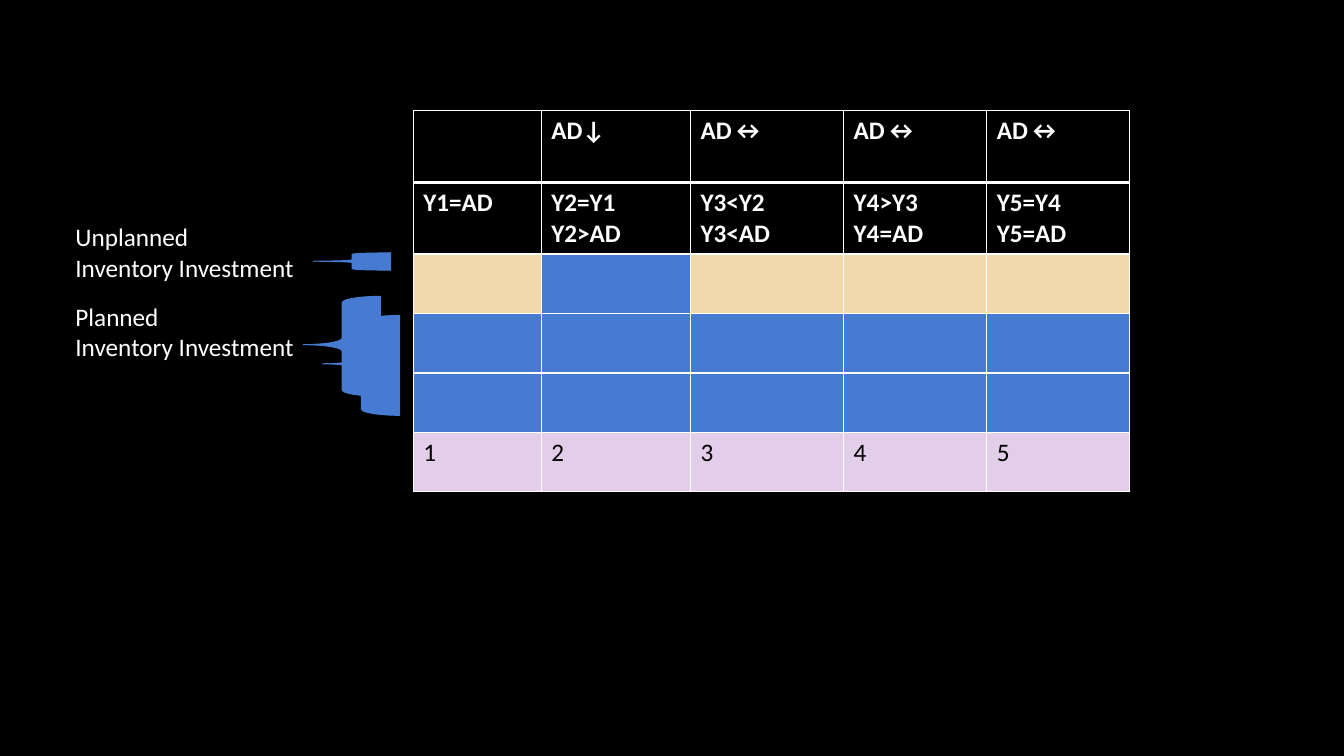
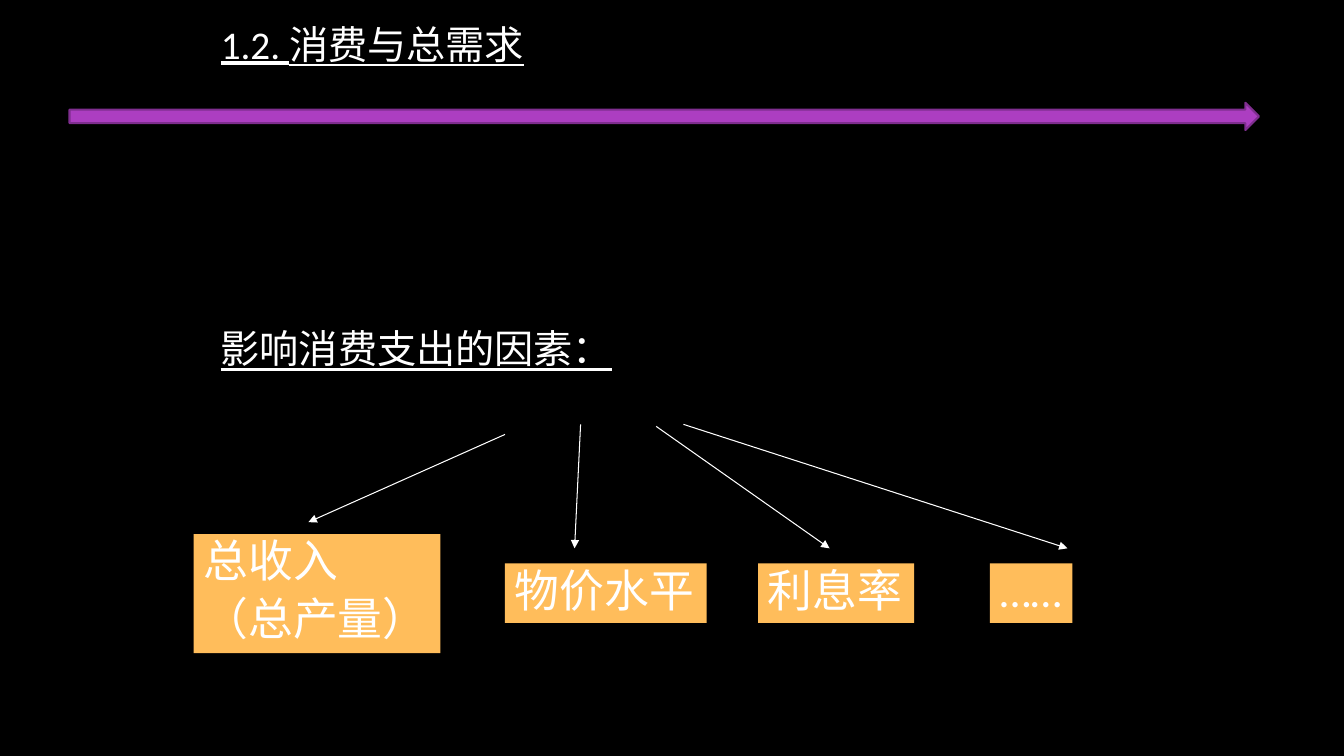
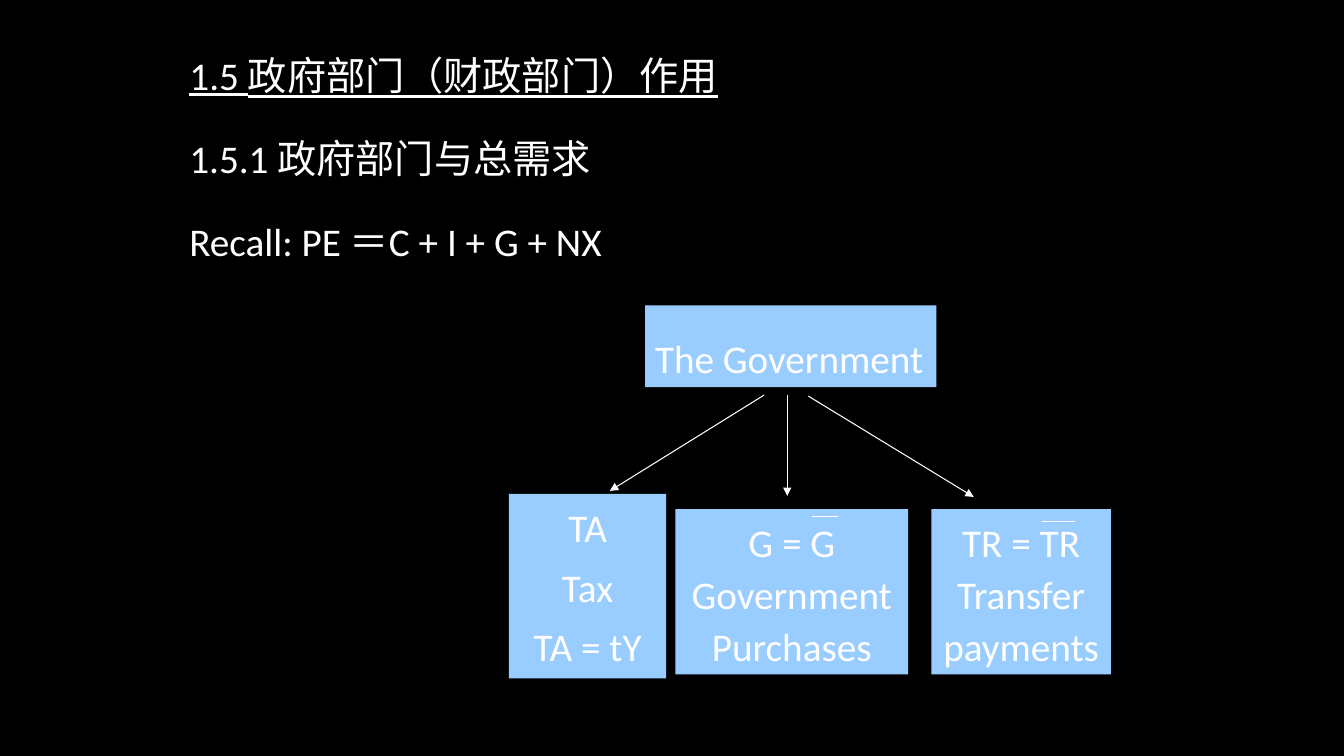
"""Build three economics slides on inventories, consumption and government."""
from lxml.etree import SubElement
from pptx import Presentation
from pptx.dml.color import RGBColor
from pptx.enum.shapes import MSO_CONNECTOR as LINK, MSO_SHAPE as SHAPE
from pptx.enum.text import MSO_ANCHOR as ANCHOR, MSO_AUTO_SIZE as FIT, PP_ALIGN as ALIGN
from pptx.oxml.ns import qn
from pptx.util import Pt

PX = 9144
FONT = "Calibri"
BLACK, WHITE = "000000", "FFFFFF"
BLUE, SAND, LILAC = "477BD1", "F1D8AD", "E3CEE9"
ORANGE, SKY, PURPLE, PLUM = "FFBD5B", "99CCFF", "AC3EC1", "7F2E8F"
rgb = RGBColor.from_string


def write(holder, text, size=28, color=WHITE, bold=False, underline=False,
          align=ALIGN.LEFT, spacing=1.0, before=0, wrap=True):
    frame = holder.text_frame
    frame.text = text
    frame.word_wrap = wrap
    frame.auto_size = FIT.NONE
    frame.vertical_anchor = ANCHOR.TOP
    for index, paragraph in enumerate(frame.paragraphs):
        paragraph.alignment = align
        paragraph.line_spacing = spacing
        paragraph.space_before = Pt(before if index else 0)
        for run in paragraph.runs:
            font = run.font
            font.name, font.size = FONT, Pt(size)
            font.bold, font.underline = bold, underline
            font.color.rgb = rgb(color)


def draw(slide, kind, at, fill, outline=None, weight=0.75):
    shape = slide.shapes.add_shape(kind, *(PX * n for n in at))
    shape.shadow.inherit = False
    shape.fill.solid()
    shape.fill.fore_color.rgb = rgb(fill)
    if outline:
        shape.line.color.rgb = rgb(outline)
        shape.line.width = Pt(weight)
    else:
        shape.line.fill.background()
    return shape


deck = Presentation()
deck.slide_width, deck.slide_height = 12192000, 6858000
background = deck.slide_master.background.fill
background.solid()
background.fore_color.rgb = rgb(BLACK)
title_only, blank = deck.slide_layouts[5], deck.slide_layouts[6]

inventory = deck.slides.add_slide(blank)
widths = [127, 148, 152, 142, 142]
heights = [71, 71, 59, 59, 59, 59]
contents = [
    ["", "AD↓", "AD↔", "AD↔", "AD↔"],
    ["Y1=AD", "Y2=Y1\nY2>AD", "Y3<Y2\nY3<AD", "Y4>Y3\nY4=AD", "Y5=Y4\nY5=AD"],
    [""] * 5,
    [""] * 5,
    [""] * 5,
    ["1", "2", "3", "4", "5"],
]
fills = [[BLACK] * 5, [BLACK] * 5, [SAND, BLUE, SAND, SAND, SAND],
         [BLUE] * 5, [BLUE] * 5, [LILAC] * 5]
periods = inventory.shapes.add_table(
    6, 5, *(PX * n for n in (410, 110, sum(widths), sum(heights)))).table
periods.first_row = periods.horz_banding = False
for column, width in zip(periods.columns, widths):
    column.width = PX * width
for row, height in zip(periods.rows, heights):
    row.height = PX * height
for r, row_texts in enumerate(contents):
    for c, text in enumerate(row_texts):
        cell = periods.cell(r, c)
        properties = cell._tc.get_or_add_tcPr()
        for side in ("L", "R", "T", "B"):
            thick = (r, side) in ((0, "B"), (1, "T"))
            border = SubElement(properties, qn(f"a:ln{side}"), w=str(Pt(3 if thick else 1)))
            SubElement(SubElement(border, qn("a:solidFill")), qn("a:srgbClr"), val=WHITE)
        cell.fill.solid()
        cell.fill.fore_color.rgb = rgb(fills[r][c])
        if text:
            write(cell, text, size=18, bold=r < 2, color=WHITE if r < 2 else BLACK)

for at in ((320, 313, 77, 99), (301, 294, 77, 99), (311, 251, 77, 17)):
    brace = draw(inventory, SHAPE.LEFT_BRACE, at, BLUE, BLUE)
    brace.adjustments[0], brace.adjustments[1] = 0.083, 0.484
for top, kind in ((294, "Planned"), (215, "Unplanned")):
    label = inventory.shapes.add_textbox(*(PX * n for n in (65, top, 251, 71)))
    write(label, f"{kind}\nInventory Investment", size=18)

consumption, government = (deck.slides.add_slide(title_only) for _ in range(2))
for slide, left, top, heading in (
    (consumption, 209, 15, "1.2. 消费与总需求"),
    (government, 178, 46, "1.5 政府部门（财政部门）作用"),
):
    title = slide.shapes.title
    title.left, title.top, title.width, title.height = (PX * n for n in (left, top, 938, 60))
    write(title, heading, underline=True)

factors_intro = consumption.shapes.add_textbox(*(PX * n for n in (209, 317, 938, 60)))
write(factors_intro, "影响消费支出的因素：", underline=True)
for at, factor in (
    ((192, 530, 245, 118), "总收入\n（总产量）"),
    ((501, 559, 200, 59), "物价水平"),
    ((752, 559, 155, 59), "利息率"),
    ((982, 559, 82, 59), "……"),
):
    write(draw(consumption, SHAPE.RECTANGLE, at, ORANGE), factor,
          size=32, spacing=0.9, before=6.4, wrap=False)
draw(consumption, SHAPE.RIGHT_ARROW, (69, 102, 1180, 27), PURPLE, PLUM, 1.5)

recall = government.shapes.add_textbox(*(PX * n for n in (178, 128, 988, 150)))
write(recall, "1.5.1 政府部门与总需求\nRecall: PE ＝C + I + G + NX", before=26)
write(draw(government, SHAPE.RECTANGLE, (640, 303, 289, 81), SKY),
      "The Government", spacing=1.5, wrap=False)
for at, role in (
    ((505, 490, 156, 183), "TA\nTax\nTA = tY"),
    ((670, 505, 231, 164), "G = G Government Purchases"),
    ((924, 505, 178, 164), "TR = TR Transfer payments"),
):
    write(draw(government, SHAPE.RECTANGLE, at, SKY), role,
          align=ALIGN.CENTER, spacing=1.1, before=5.6)

for slide, ends, arrow in (
    (consumption, (501, 431, 306, 518), True),
    (consumption, (576, 421, 570, 544), True),
    (consumption, (651, 423, 823, 544), True),
    (consumption, (678, 421, 1059, 544), True),
    (government, (806, 512, 831, 512), False),
    (government, (1034, 517, 1067, 517), False),
    (government, (758, 392, 605, 487), True),
    (government, (781, 392, 781, 492), True),
    (government, (802, 393, 966, 493), True),
):
    link = slide.shapes.add_connector(LINK.STRAIGHT, *(PX * n for n in ends))
    link.line.color.rgb = rgb(WHITE)
    link.line.width = Pt(0.75)
    properties = link._element.spPr
    if arrow:
        SubElement(properties.find(qn("a:ln")), qn("a:tailEnd"), type="triangle")
    SubElement(properties, qn("a:effectLst"))

deck.save("out.pptx")
